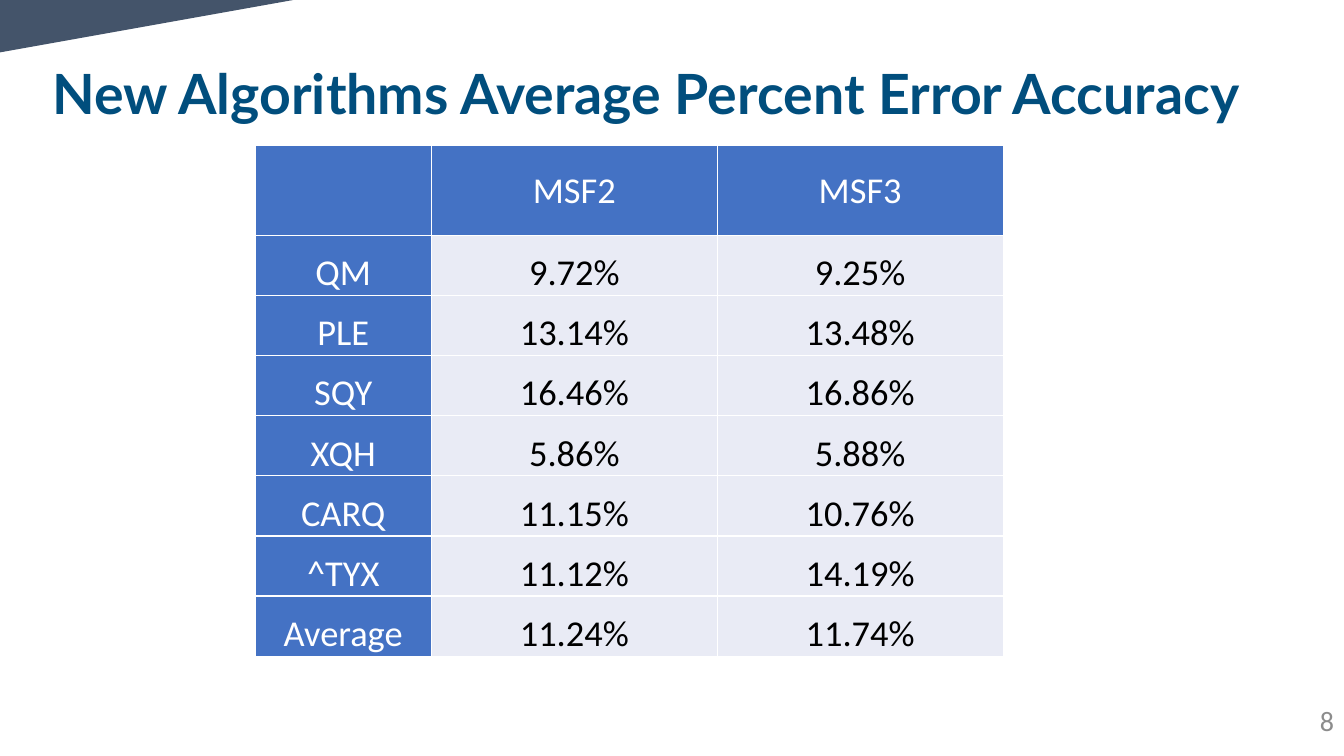
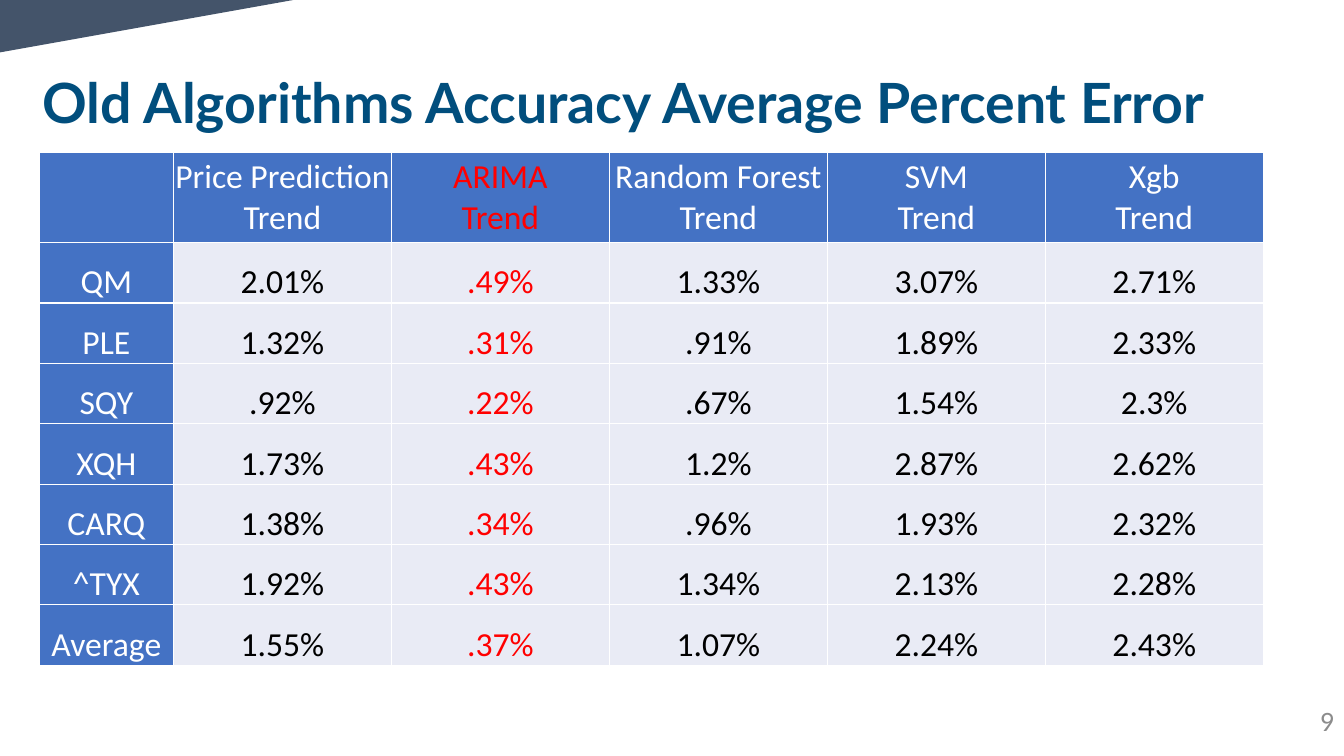
from lxml.etree import SubElement
from pptx import Presentation
from pptx.dml.color import RGBColor
from pptx.enum.shapes import MSO_SHAPE
from pptx.enum.text import MSO_ANCHOR, MSO_AUTO_SIZE, PP_ALIGN
from pptx.oxml.ns import qn
from pptx.util import Inches, Pt

# Shared style
SLIDE_WIDTH, SLIDE_HEIGHT = Inches(13.33), Inches(7.5)
CORNER, TITLE, PAGE_NUMBER = "44546A", "014E7D", "8C8C8C"
HEADING, BODY, WHITE, BLACK, RED = "4472C4", "E9EBF5", "FFFFFF", "000000", "FF0000"
HEADER_UNITS, ROW_UNITS = 3, 2  # a header row is one and a half body rows high


def color(value):
    return RGBColor.from_string(value)


def format_text(frame, font, size, value, align, bold=False):
    for para in frame.paragraphs:
        para.alignment = align
        for span in para.runs:
            span.font.name = font
            span.font.size = Pt(size)
            span.font.bold = bold
            span.font.color.rgb = color(value)


# Slide content: positions and sizes in inches, cells row by row
ROW_NAMES = ["QM", "PLE", "SQY", "XQH", "CARQ", "^TYX", "Average"]
SLIDES = [
    {
        "number": 8,
        "title": "New Algorithms Average Percent Error Accuracy",
        "title_at": (0.42, 0.14, 12.49, 1.16),
        "table_at": (2.53, 1.44, 7.42, 5.07),
        "name_width": 1.75,
        "size": 26,
        "highlight": None,
        "header": ["MSF2", "MSF3"],
        "values": [
            ["9.72%", "9.25%"],
            ["13.14%", "13.48%"],
            ["16.46%", "16.86%"],
            ["5.86%", "5.88%"],
            ["11.15%", "10.76%"],
            ["11.12%", "14.19%"],
            ["11.24%", "11.74%"],
        ],
    },
    {
        "number": 9,
        "title": "Old Algorithms Accuracy Average Percent Error",
        "title_at": (0.32, 0.63, 12.61, 0.76),
        "table_at": (0.39, 1.51, 12.14, 5.09),
        "name_width": 1.33,
        "size": 24,
        "highlight": 2,
        "header": [f"{name}\nTrend" for name in
                   ("Price Prediction", "ARIMA", "Random Forest", "SVM", "Xgb")],
        "values": [
            ["2.01%", ".49%", "1.33%", "3.07%", "2.71%"],
            ["1.32%", ".31%", ".91%", "1.89%", "2.33%"],
            [".92%", ".22%", ".67%", "1.54%", "2.3%"],
            ["1.73%", ".43%", "1.2%", "2.87%", "2.62%"],
            ["1.38%", ".34%", ".96%", "1.93%", "2.32%"],
            ["1.92%", ".43%", "1.34%", "2.13%", "2.28%"],
            ["1.55%", ".37%", "1.07%", "2.24%", "2.43%"],
        ],
    },
]

deck = Presentation()
deck.slide_width, deck.slide_height = SLIDE_WIDTH, SLIDE_HEIGHT
title_only = deck.slide_layouts[5]

for content in SLIDES:
    page = deck.slides.add_slide(title_only)

    # Corner wedge
    wedge = page.shapes.add_shape(MSO_SHAPE.RIGHT_TRIANGLE, 0, 0,
                                  Inches(2.91), Inches(0.52))
    wedge.shadow.inherit = False
    wedge.fill.solid()
    wedge.fill.fore_color.rgb = color(CORNER)
    wedge.line.fill.background()
    wedge._element.spPr.find(qn("a:xfrm")).set("flipV", "1")

    # Title
    title = page.shapes.title
    title.left, title.top, title.width, title.height = map(Inches, content["title_at"])
    frame = title.text_frame
    frame.text = content["title"]
    frame.auto_size = MSO_AUTO_SIZE.NONE
    frame.vertical_anchor = MSO_ANCHOR.BOTTOM
    frame.paragraphs[0].line_spacing = 0.9
    format_text(frame, "Lato", 39.6, TITLE, PP_ALIGN.LEFT, bold=True)

    # Table grid: a name column, then equal value columns
    rows = [["", *content["header"]]]
    rows += [[name, *values] for name, values in zip(ROW_NAMES, content["values"])]
    left, top, width, height = map(Inches, content["table_at"])
    table = page.shapes.add_table(len(rows), len(rows[0]), left, top, width, height).table
    name_width = Inches(content["name_width"])
    value_width = (width - name_width) // len(content["header"])
    for index, column in enumerate(table.columns):
        column.width = value_width if index else name_width
    unit = height // (HEADER_UNITS + ROW_UNITS * len(ROW_NAMES))
    for index, row in enumerate(table.rows):
        row.height = unit * (ROW_UNITS if index else HEADER_UNITS)

    # Table cells
    for row_index, row in enumerate(rows):
        for column_index, text in enumerate(row):
            cell = table.cell(row_index, column_index)
            is_heading = row_index == 0 or column_index == 0
            cell.margin_left = cell.margin_right = cell.margin_top = Inches(0.01)
            cell.margin_bottom = 0
            cell.vertical_anchor = MSO_ANCHOR.BOTTOM if row_index else MSO_ANCHOR.MIDDLE
            for side in ("lnL", "lnR", "lnT", "lnB"):
                border = SubElement(cell._tc.get_or_add_tcPr(), qn(f"a:{side}"), w=str(Pt(1)))
                SubElement(SubElement(border, qn("a:solidFill")), qn("a:srgbClr"), val=WHITE)
            cell.fill.solid()
            cell.fill.fore_color.rgb = color(HEADING if is_heading else BODY)
            cell.text_frame.text = text
            text_color = WHITE if is_heading else BLACK
            if column_index == content["highlight"]:
                text_color = RED
            format_text(cell.text_frame, "Calibri", content["size"], text_color,
                        PP_ALIGN.CENTER)

    # Page number, flush with the right edge
    box_width = Inches(0.81)
    box = page.shapes.add_textbox(SLIDE_WIDTH - box_width, Inches(6.95),
                                  box_width, Inches(0.4))
    box.text_frame.word_wrap = True
    box.text_frame.vertical_anchor = MSO_ANCHOR.MIDDLE
    box.text_frame.text = str(content["number"])
    format_text(box.text_frame, "Calibri", 20, PAGE_NUMBER, PP_ALIGN.RIGHT)

deck.save("out.pptx")
